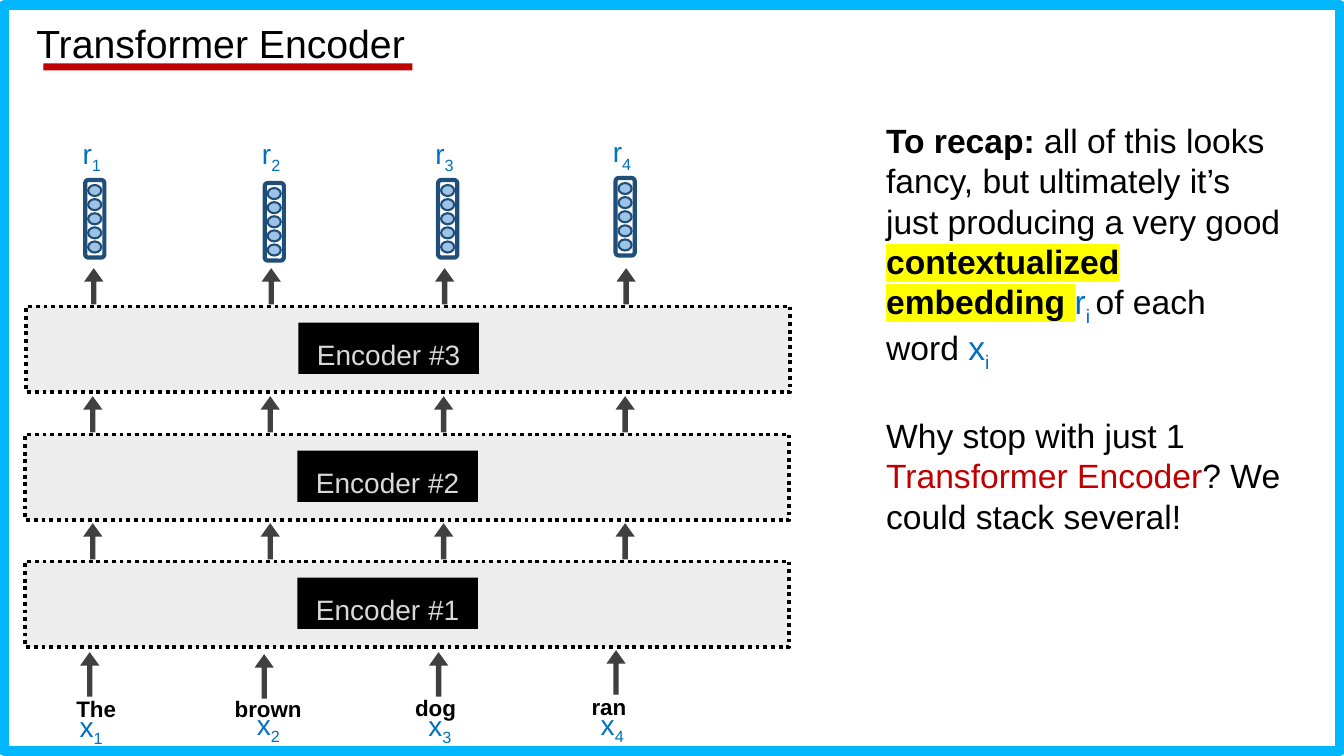
from lxml import etree
from pptx import Presentation
from pptx.dml.color import RGBColor
from pptx.enum.dml import MSO_LINE
from pptx.enum.shapes import MSO_SHAPE
from pptx.enum.text import MSO_ANCHOR, MSO_AUTO_SIZE, PP_ALIGN
from pptx.oxml.ns import qn
from pptx.util import Inches, Pt

RECTANGLE, ROUNDED = MSO_SHAPE.RECTANGLE, MSO_SHAPE.ROUNDED_RECTANGLE
ELLIPSE, ARROW = MSO_SHAPE.OVAL, MSO_SHAPE.RIGHT_ARROW
LEFT, CENTER, RIGHT = PP_ALIGN.LEFT, PP_ALIGN.CENTER, PP_ALIGN.RIGHT
TOP, GROW, DOTTED = MSO_ANCHOR.TOP, MSO_AUTO_SIZE.SHAPE_TO_FIT_TEXT, MSO_LINE.ROUND_DOT

FONT = "Arial"
BLACK, WHITE, RED, BLUE = "000000", "FFFFFF", "C00000", "0070C0"
FRAME_BLUE, NAVY, PALE_BLUE = "00B6FC", "1F4E79", "9DC3E6"
DARK_GRAY, LIGHT_GRAY, LABEL_GRAY, YELLOW = "404040", "EDEDED", "D9D9D9", "FFFF00"

# Embedding centres (x, y) and label tops, one per token
EMBEDDINGS = [(0.94, 2.17, 1.31), (2.72, 2.2, 1.31), (4.44, 2.17, 1.31), (6.2, 2.15, 1.29)]
# Word, alignment, word box, arrow centre, input label corner
TOKENS = [
    ("The", RIGHT, (0.48, 6.79, 0.77, 0.55), (0.89, 6.69), (0.69, 6.99)),
    ("brown", CENTER, (1.98, 6.79, 1.36, 0.55), (2.62, 6.71), (2.45, 6.97)),
    ("dog", CENTER, (3.64, 6.78, 1.36, 0.55), (4.35, 6.69), (4.15, 6.98)),
    ("ran", CENTER, (5.36, 6.77, 1.36, 0.55), (6.11, 6.67), (5.86, 6.97)),
]
LAYERS = [(1, 0.25, 5.57), (2, 0.25, 4.31), (3, 0.26, 3.04)]
LAYER_ARROWS = (0.67, 2.43, 4.15, 5.95)  # from the left side of a layer


def color(hex_string):
    return RGBColor.from_string(hex_string)


def add_shape(shapes, kind, box, fill=None, line=None, width=1):
    shape = shapes.add_shape(kind, *map(Inches, box))
    shape.shadow.inherit = False
    if fill:
        shape.fill.solid()
        shape.fill.fore_color.rgb = color(fill)
    else:
        shape.fill.background()
    if line:
        shape.line.color.rgb = color(line)
        shape.line.width = Pt(width)
    else:
        shape.line.fill.background()
    return shape


def add_upright(shapes, kind, center, length, thickness, **style):
    """Place a horizontal shape around a centre and turn it to point up."""
    x, y = center
    box = (x - length / 2, y - thickness / 2, length, thickness)
    shape = add_shape(shapes, kind, box, **style)
    shape.rotation = 270
    return shape


def add_arrow(shapes, center, length):
    arrow = add_upright(shapes, ARROW, center, length, 0.19, fill=DARK_GRAY)
    arrow.adjustments[0], arrow.adjustments[1] = 0.276, 0.696


def add_run(paragraph, text, size, hex_string=BLACK, bold=False, subscript=False, highlight=None):
    run = paragraph.add_run()
    run.text = text
    run.font.color.rgb = color(hex_string)
    properties = run._r.get_or_add_rPr()
    if subscript:
        properties.set("baseline", "-25000")
    if highlight:
        mark = etree.SubElement(properties, qn("a:highlight"))
        etree.SubElement(mark, qn("a:srgbClr")).set("val", highlight)
    for name, value in {"name": FONT, "size": Pt(size), "bold": bold}.items():
        setattr(run.font, name, value)


def fill_text(shape, paragraphs, size, paragraph_format, auto_size=None):
    """Each paragraph is a list of (text, run style) pairs."""
    frame = shape.text_frame
    frame_format = {"word_wrap": True, "vertical_anchor": TOP, "auto_size": auto_size}
    for name, value in frame_format.items():
        setattr(frame, name, value)
    for index, runs in enumerate(paragraphs):
        paragraph = frame.add_paragraph() if index else frame.paragraphs[0]
        for name, value in paragraph_format.items():
            setattr(paragraph, name, value)
        if index:
            paragraph.space_before = Pt(30)
        for text, style in runs:
            add_run(paragraph, text, size, **style)


def add_text(shapes, box, *arguments, **options):
    fill_text(shapes.add_textbox(*map(Inches, box)), *arguments, **options)


def add_symbol(shapes, corner, letter, number):
    runs = [(letter, {"hex_string": BLUE}),
            (str(number), {"hex_string": BLUE, "subscript": True})]
    add_text(shapes, (*corner, 0.45, 0.44), [runs], 20, {"alignment": LEFT}, auto_size=GROW)


def add_heading(slide, box):
    left, top, width, height = box
    add_shape(slide.shapes, RECTANGLE, (left + 0.17, top + 0.44, 3.66, 0.07), fill=RED)
    title = slide.shapes.title
    for name, value in zip(("left", "top", "width", "height"), box):
        setattr(title, name, Inches(value))
    fill_text(title, [[("Transformer Encoder", {})]], 28,
              {"alignment": LEFT, "line_spacing": 0.9})


def add_layer(shapes, number, box):
    left, top, width, height = box
    layer = add_shape(shapes, RECTANGLE, box, LIGHT_GRAY, BLACK, 2.75)
    layer.line.dash_style = DOTTED
    # Black name plate
    add_shape(shapes, RECTANGLE, (left + 2.7, top + 0.16, 1.79, 0.51), fill=BLACK)
    add_text(shapes, (left + 2.7, top + 0.19, 1.79, 0.39),
             [[(f"Encoder #{number}", {"hex_string": LABEL_GRAY})]], 20,
             {"alignment": CENTER, "line_spacing": 1.2})
    # Arrows leaving the layer
    for offset in LAYER_ARROWS:
        add_arrow(shapes, (left + offset, top - 0.2), 0.36)


def add_embedding(shapes, number, x, y, label_top):
    group = shapes.add_group_shape().shapes
    add_upright(group, ROUNDED, (x, y), 0.77, 0.19, line=NAVY, width=3)
    for step in range(-2, 3):
        add_upright(group, ELLIPSE, (x, y + 0.14 * step), 0.11, 0.13,
                    fill=PALE_BLUE, line=NAVY, width=1.5)
    add_symbol(shapes, (x - 0.22, label_top), "r", number)


def add_token(shapes, number, word, alignment, box, arrow_center, symbol_corner):
    add_arrow(shapes, arrow_center, 0.44)
    add_text(shapes, box, [[(word, {"bold": True})]], 16,
             {"alignment": alignment, "line_spacing": 1.2})
    add_symbol(shapes, symbol_corner, "x", number)


def add_recap(shapes, box):
    blue, subscript = {"hex_string": BLUE}, {"hex_string": BLUE, "subscript": True}
    recap = [
        ("To recap: ", {"bold": True}),
        ("all of this looks fancy, but ultimately it’s just producing a very good ", {}),
        ("contextualized embedding ", {"bold": True, "highlight": YELLOW}),
        ("r", blue), ("i ", subscript),
        ("of each word ", {}),
        ("x", blue), ("i", subscript),
    ]
    question = [
        ("Why stop with just 1 ", {}),
        ("Transformer Encoder", {"hex_string": RED}),
        ("? We could stack several!", {}),
    ]
    add_text(shapes, box, [recap, question], 24, {"alignment": LEFT}, auto_size=GROW)


def main():
    presentation = Presentation()
    presentation.slide_width, presentation.slide_height = Inches(13.33), Inches(7.5)
    slide = presentation.slides.add_slide(presentation.slide_layouts[5])
    slide.background.fill.solid()
    slide.background.fill.fore_color.rgb = color(WHITE)
    shapes = slide.shapes

    # Border and title
    add_shape(shapes, RECTANGLE, (0.04, 0.05, 13.25, 7.4), line=FRAME_BLUE, width=7)
    add_heading(slide, (0.26, 0.19, 9.65, 0.68))
    # Encoder stack, from input words to embeddings
    for number, token in enumerate(TOKENS, 1):
        add_token(shapes, number, *token)
    for number, left, top in LAYERS:
        add_layer(shapes, number, (left, top, 7.58, 0.85))
    for number, embedding in enumerate(EMBEDDINGS, 1):
        add_embedding(shapes, number, *embedding)
    # Explanation
    add_recap(shapes, (8.69, 1.14, 4.11, 4.16))
    presentation.save("out.pptx")


if __name__ == "__main__":
    main()
